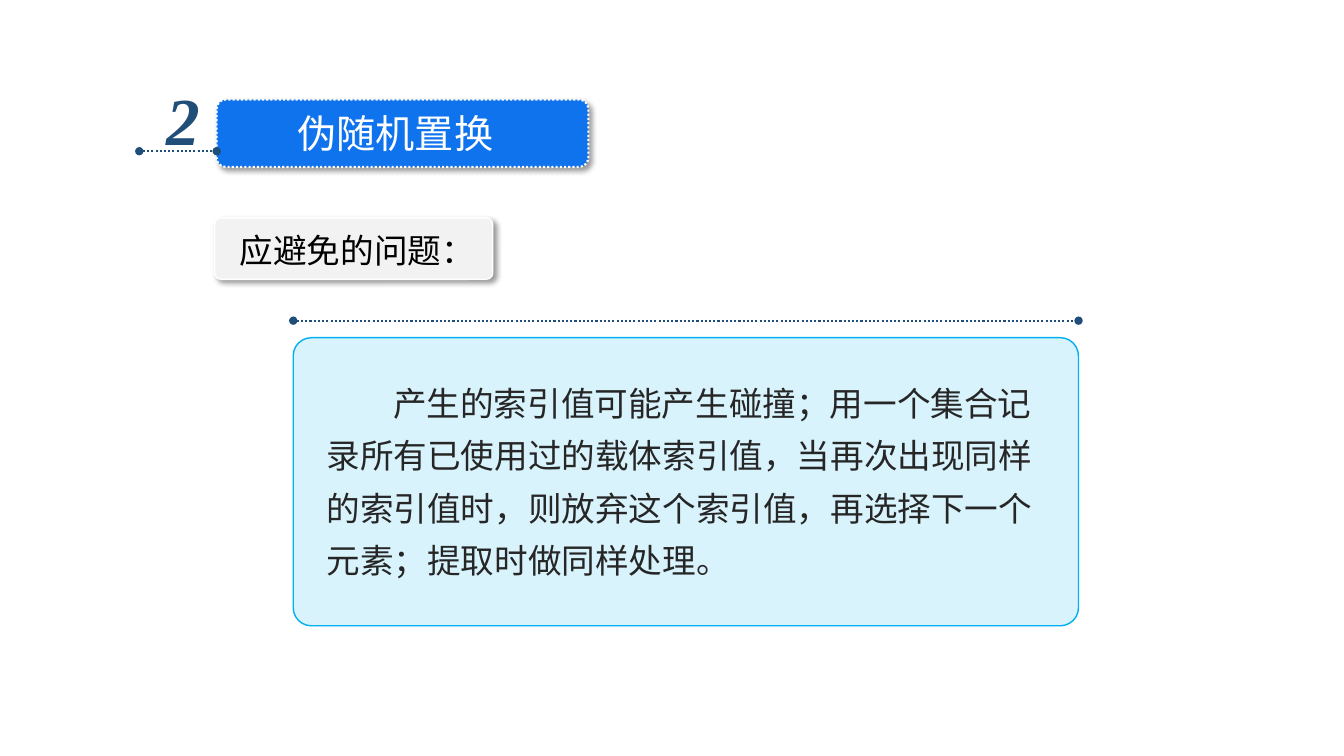
"""Build a slide on pseudo-random permutation and the collision problem to avoid."""
from lxml.etree import SubElement
from pptx import Presentation
from pptx.dml.color import RGBColor
from pptx.enum.dml import MSO_LINE
from pptx.enum.shapes import MSO_CONNECTOR, MSO_SHAPE
from pptx.enum.text import PP_ALIGN
from pptx.oxml import parse_xml
from pptx.oxml.ns import nsdecls, qn
from pptx.util import Cm, Pt

HUE = {"navy": "1F4E79", "blue": "0F73EE", "sky": "00B0F0", "grey": "F2F2F2",
       "white": "FFFFFF", "black": "000000", "ink": "262626"}
SANS, SERIF = "Noto Sans CJK SC", "Times New Roman"
SHADE = (f'<a:effectLst {nsdecls("a")}><a:outerShdw blurRad="50800" dist="38100" dir="2700000" '
         f'algn="tl" rotWithShape="0"><a:srgbClr val="{HUE["black"]}"><a:alpha val="40000"/>'
         '</a:srgbClr></a:outerShdw></a:effectLst>')

deck = Presentation()
deck.slide_width, deck.slide_height = Cm(33.87), Cm(19.05)
slide = deck.slides.add_slide(deck.slide_layouts[6])
shapes = slide.shapes


def paint(color, name):
    color.rgb = RGBColor.from_string(HUE[name])


def write(text, box, size, face, hue):
    frame = shapes.add_textbox(*map(Cm, box)).text_frame
    frame.word_wrap = True
    para = frame.paragraphs[0]
    para.text = text
    font = para.font
    font.size, font.name = Pt(size), face
    paint(font.color, hue)
    SubElement(para._p.pPr.find(qn("a:defRPr")), qn("a:ea"), typeface=face)
    return para


panels = [
    ((7.39, 8.51, 19.79, 7.26), 0.063, "sky", "sky", 1, None, False),
    ((5.46, 2.51, 9.37, 1.7), 0.137, "blue", "white", 1.5, MSO_LINE.ROUND_DOT, True),
    ((5.41, 5.49, 7.01, 1.55), 0.108, "grey", "white", 1, None, True),
]
for box, curve, fill, edge, width, dash, shade in panels:
    panel = shapes.add_shape(MSO_SHAPE.ROUNDED_RECTANGLE, *map(Cm, box))
    panel.adjustments[0] = curve
    panel.fill.solid()
    paint(panel.fill.fore_color, fill)
    paint(panel.line.color, edge)
    panel.line.width = Pt(width)
    if dash:
        panel.line.dash_style = dash
    if shade:
        panel._element.spPr.append(parse_xml(SHADE))
    else:
        panel.shadow.inherit = False
    if fill == "sky":
        tint = panel._element.spPr.find(qn("a:solidFill"))[0]
        SubElement(tint, qn("a:alpha"), val="15000")

for left, right, top in [(7.39, 27.18, 8.08), (3.51, 5.46, 3.81)]:
    rule = shapes.add_connector(MSO_CONNECTOR.STRAIGHT, Cm(left), Cm(top), Cm(right), Cm(top))
    paint(rule.line.color, "navy")
    rule.line.width = Pt(1.5)
    rule.line.dash_style = MSO_LINE.ROUND_DOT
    for end in ("a:headEnd", "a:tailEnd"):
        SubElement(rule.line._ln, qn(end), type="oval")
    SubElement(rule._element.spPr, qn("a:effectLst"))

title = write("伪随机置换", (5.62, 2.64, 8.69, 1.45), 28, SANS, "white")
title.alignment = PP_ALIGN.CENTER

digit = write("2", (3.94, 1.85, 1.37, 2.31), 48, SERIF, "navy")
digit.font.bold = digit.font.italic = True

write("应避免的问题：", (5.79, 5.66, 6.63, 1.27), 24, SANS, "black")

body = write("产生的索引值可能产生碰撞；用一个集合记录所有已使用过的载体索引值，"
             "当再次出现同样的索引值时，则放弃这个索引值，再选择下一个元素；提取时做同样处理。",
             (7.98, 9.22, 18.72, 5.59), 24, SANS, "ink")
body.line_spacing = 1.3
body._p.pPr.set("marL", "0")
body._p.pPr.set("indent", str(Cm(1.68)))

deck.save("out.pptx")
